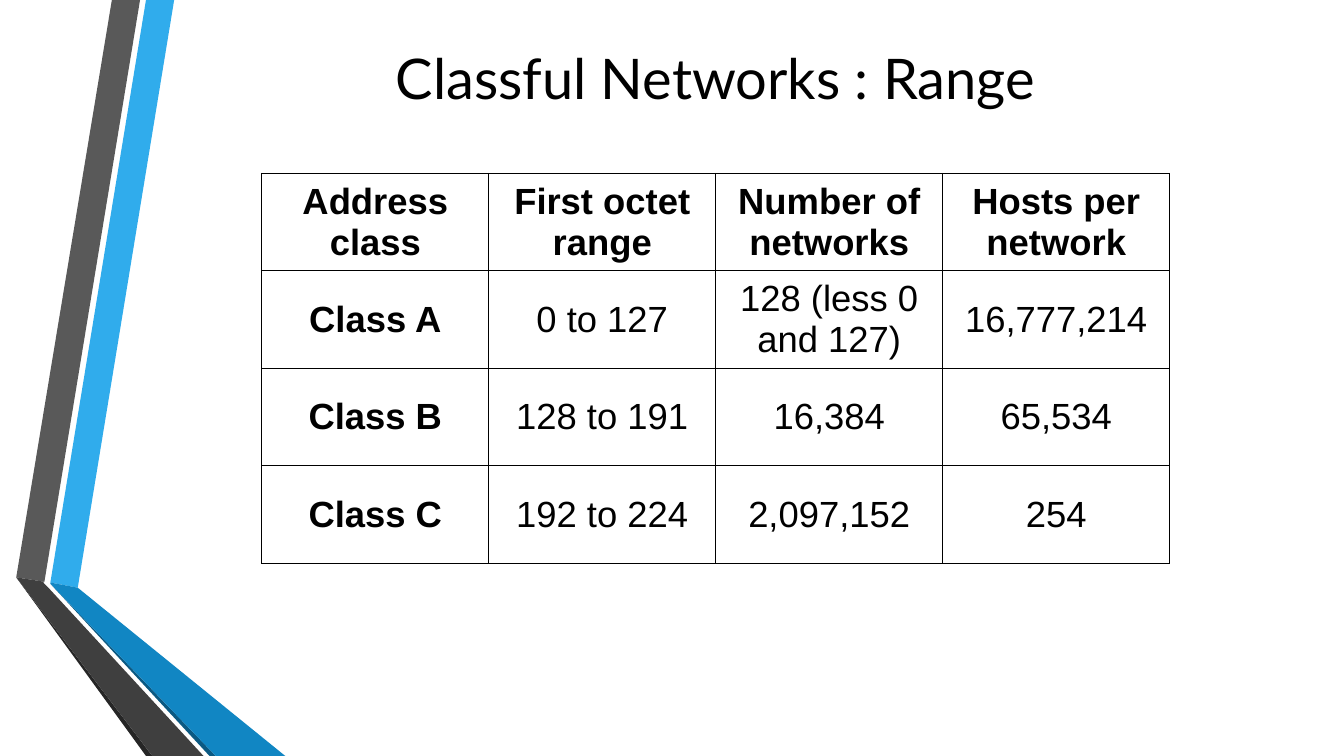
from dataclasses import dataclass

from lxml import etree
from pptx import Presentation
from pptx.dml.color import RGBColor
from pptx.enum.text import MSO_ANCHOR, PP_ALIGN
from pptx.oxml.ns import qn
from pptx.util import Cm, Pt

CENTER = PP_ALIGN.CENTER
MIDDLE = MSO_ANCHOR.MIDDLE


@dataclass(frozen=True)
class Theme:
    """Colours, fonts and type sizes of the slide."""
    ink: str = "000000"
    paper: str = "FFFFFF"
    sky: str = "30ACEC"
    blue: str = "1186C3"
    navy: str = "0B5982"
    gray: str = "595959"
    coal: str = "3F3F3F"
    soot: str = "262626"
    head: str = "Lato"
    body: str = "Arial"
    title: int = 40
    cell: int = 26
    rule: int = 1


THEME = Theme()

# Ribbon outlines in centimetres, from back to front
RIBBONS = [
    (THEME.sky, [(1.27, 14.68), (1.96, 14.81), (4.39, 0), (3.68, 0)]),
    (THEME.gray, [(3.53, 0), (2.82, 0), (0.41, 14.55), (1.12, 14.66)]),
    (THEME.soot, [(0.41, 14.55), (3.68, 19.05), (3.84, 19.05)]),
    (THEME.navy, [(1.27, 14.71), (5.28, 19.05), (5.44, 19.05)]),
    (THEME.blue, [(1.27, 14.68), (1.27, 14.71), (5.44, 19.05),
                  (7.19, 19.05), (1.96, 14.81)]),
    (THEME.coal, [(5.13, 19.05), (1.22, 14.81), (1.09, 14.68),
                  (1.12, 14.66), (0.41, 14.55), (3.84, 19.05)]),
]

RANGES = [
    ["Address class", "First octet range", "Number of networks",
     "Hosts per network"],
    ["Class A", "0 to 127", "128 (less 0 and 127)", "16,777,214"],
    ["Class B", "128 to 191", "16,384", "65,534"],
    ["Class C", "192 to 224", "2,097,152", "254"],
]
WIDTH = 5.72
HEIGHTS = [2.13, 2.39, 2.46, 2.46]


def put_text(frame, text, font=THEME.body, size=THEME.cell, color=THEME.ink,
             bold=False, align=CENTER):
    """Write one formatted paragraph into a text frame."""
    para = frame.paragraphs[0]
    para.alignment = align
    run = para.add_run()
    run.text = text
    run.font.name = font
    run.font.size = Pt(size)
    run.font.bold = bold
    run.font.color.rgb = RGBColor.from_string(color)


def add_title(slide, text):
    """Add the centred slide title."""
    box = slide.shapes.add_textbox(Cm(4.11), Cm(0.91), Cm(27.84), Cm(2.06))
    frame = box.text_frame
    frame.word_wrap = True
    frame.vertical_anchor = MIDDLE
    put_text(frame, text, font=THEME.head, size=THEME.title)


def add_ribbon(slide, color, points):
    """Add one filled outline without a line."""
    spots = [(Cm(x), Cm(y)) for x, y in points]
    pen = slide.shapes.build_freeform(*spots[0], scale=1.0)
    pen.add_line_segments(spots[1:], close=True)
    shape = pen.convert_to_shape()
    shape.shadow.inherit = False
    shape.fill.solid()
    shape.fill.fore_color.rgb = RGBColor.from_string(color)
    shape.line.fill.background()


def set_border(cell):
    """Rule all four sides of a cell."""
    props = cell._tc.get_or_add_tcPr()
    for spot, side in enumerate(("lnL", "lnR", "lnT", "lnB")):
        line = etree.Element(qn(f"a:{side}"), w=str(Pt(THEME.rule)))
        fill = etree.SubElement(line, qn("a:solidFill"))
        etree.SubElement(fill, qn("a:srgbClr"), val=THEME.ink)
        props.insert(spot, line)


def add_grid(slide, rows):
    """Add the ruled table with bold first row and column."""
    count = len(rows[0])
    table = slide.shapes.add_table(
        len(rows), count, Cm(6.6), Cm(4.37),
        Cm(WIDTH * count), Cm(sum(HEIGHTS))).table
    for col in table.columns:
        col.width = Cm(WIDTH)
    for r, row in enumerate(rows):
        table.rows[r].height = Cm(HEIGHTS[r])
        for c, text in enumerate(row):
            cell = table.cell(r, c)
            cell.vertical_anchor = MIDDLE
            cell.fill.solid()
            cell.fill.fore_color.rgb = RGBColor.from_string(THEME.paper)
            set_border(cell)
            put_text(cell.text_frame, text, bold=r == 0 or c == 0)


def main():
    """Build and save the slide."""
    deck = Presentation()
    deck.slide_width = Cm(33.87)
    deck.slide_height = Cm(19.05)
    slide = deck.slides.add_slide(deck.slide_layouts[6])
    for color, points in RIBBONS:
        add_ribbon(slide, color, points)
    add_title(slide, "Classful Networks : Range")
    add_grid(slide, RANGES)
    deck.save("out.pptx")


main()
